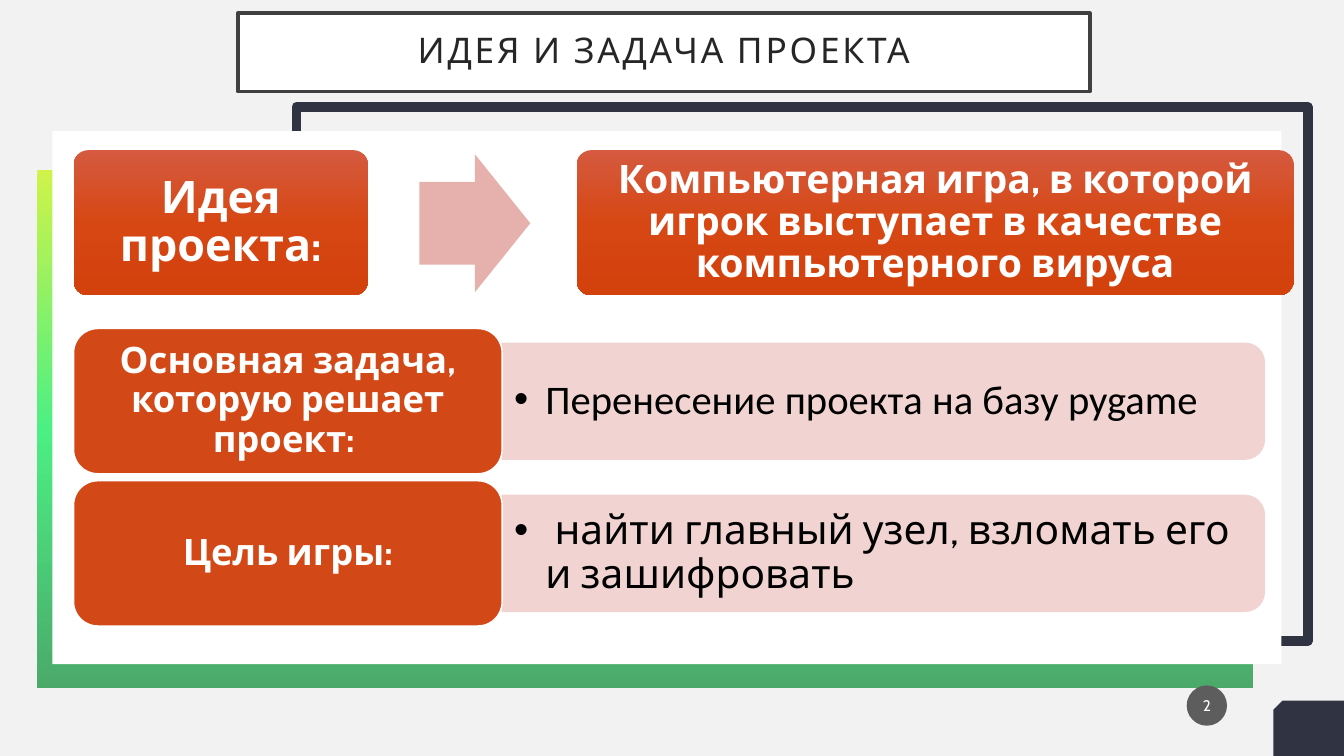
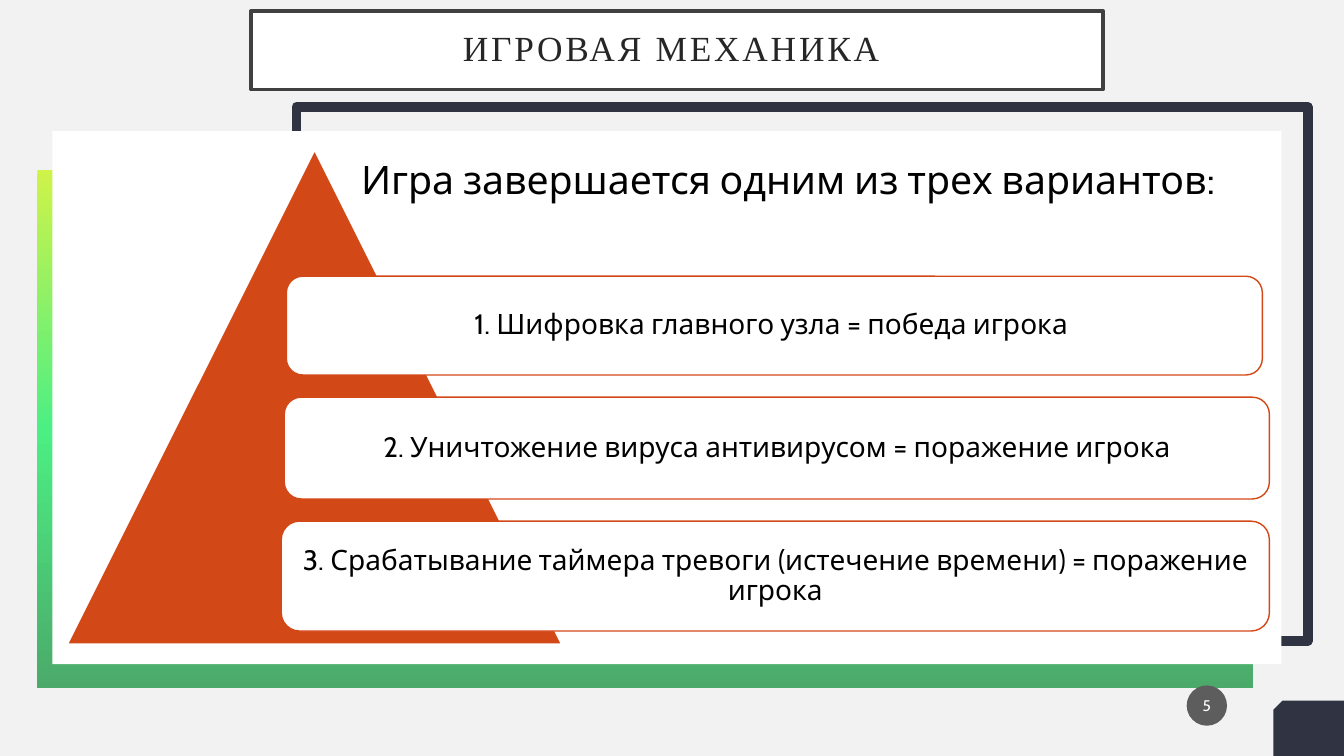
from lxml import etree
from pptx import Presentation
from pptx import util as u
from pptx.dml.color import RGBColor
from pptx.enum import shapes, text
from pptx.oxml.ns import qn

WIDTH, HEIGHT = 13.33, 7.5
FONT = "Cabin"
KIND = shapes.MSO_SHAPE
COLORS = {
    "back": "F2F2F2", "navy": "2F3342", "white": "FFFFFF", "black": "000000",
    "border": "404040", "title": "262626", "badge": "5D5D5D",
    "accent": "D34817", "arrow": "E6B1AC", "pale": "F1D4D1",
}
BAND = ["CFF349", "4CEF84", "4BAA6A"]
GLOSS = ["D55A3F", "D64714", "D3410D"]

IDEA = {
    "title": "ИДЕЯ И ЗАДАЧА ПРОЕКТА", "font": FONT, "corner": (2.36, 0.13), "number": "2",
    "cards": [("Идея проекта:", 0.73, 2.92, 32, 0.13),
              ("Компьютерная игра, в которой игрок выступает в качестве компьютерного вируса",
               5.72, 7.11, 28, 0.12)],
    "rows": [("Основная задача, которую решает проект: ",
              "Перенесение проекта на базу pygame", "Calibri"),
             ("Цель игры:", " найти главный узел, взломать его и зашифровать", FONT)],
}
MECHANICS = {
    "title": "ИГРОВАЯ МЕХАНИКА ", "font": "Times New Roman", "corner": (2.49, 0.11), "number": "5",
    "lead": "Игра завершается одним из трех вариантов:",
    "endings": [("1. Шифровка главного узла = победа игрока ", (2.84, 2.74, 9.68, 0.98)),
                ("2. Уничтожение вируса антивирусом = поражение игрока", (2.82, 3.94, 9.77, 1.01)),
                ("3. Срабатывание таймера тревоги (истечение времени) = поражение игрока",
                 (2.79, 5.17, 9.8, 1.09))],
}


def rgb(name):
    return RGBColor.from_string(COLORS[name])


def place(shape, area):
    shape.left, shape.top, shape.width, shape.height = (u.Inches(v) for v in area)


def paint(shape, fill=None, line=None, weight=1):
    if fill:
        shape.fill.solid()
        shape.fill.fore_color.rgb = rgb(fill)
    else:
        shape.fill.background()
    if line:
        shape.line.color.rgb = rgb(line)
        shape.line.width = u.Pt(weight)
    else:
        shape.line.fill.background()


def draw(page, kind, area, fill=None, line=None, weight=1):
    shape = page.shapes.add_shape(kind, *(u.Inches(v) for v in area))
    shape.shadow.inherit = False
    paint(shape, fill, line, weight)
    return shape


def shade(shape, stops):
    shape.fill.gradient()
    shape.fill.gradient_angle = 270
    stop_list = shape.fill._fill._gradFill.find(qn("a:gsLst"))
    for old in list(stop_list):
        stop_list.remove(old)
    for index, color in enumerate(stops):
        stop = etree.SubElement(stop_list, qn("a:gs"), pos=str(index * 50000))
        etree.SubElement(stop, qn("a:srgbClr"), val=color)


def write(shape, words, size, color="black", font=FONT, bold=False, insets=(0.1, 0.05),
          align=text.PP_ALIGN.CENTER, anchor=text.MSO_ANCHOR.MIDDLE, spacing=0.9):
    frame = shape.text_frame
    frame.text = words
    frame.word_wrap = True
    frame.auto_size = text.MSO_AUTO_SIZE.NONE
    frame.vertical_anchor = anchor
    frame.margin_left = frame.margin_right = u.Inches(insets[0])
    frame.margin_top = frame.margin_bottom = u.Inches(insets[1])
    para = frame.paragraphs[0]
    para.alignment = align
    para.line_spacing = spacing
    span = para.runs[0]
    span.font.size, span.font.name, span.font.bold = u.Pt(size), font, bold
    span.font.color.rgb = rgb(color)
    return para


def text_box(page, area):
    return page.shapes.add_textbox(*(u.Inches(v) for v in area))


def add_bullet(para, indent=0.31):
    props = para._p.get_or_add_pPr()
    props.set("marL", str(u.Inches(indent)))
    props.set("indent", str(-u.Inches(indent)))
    etree.SubElement(props, qn("a:buFont"), typeface="Arial")
    etree.SubElement(props, qn("a:buChar"), char="•")


def start_page(deck, content):
    page = deck.slides.add_slide(deck.slide_layouts[5])
    corner = draw(page, KIND.SNIP_1_RECTANGLE, (WIDTH - 0.7, HEIGHT - 0.55, 0.7, 0.55), "navy")
    corner._element.spPr.find(qn("a:xfrm")).set("flipH", "1")
    draw(page, KIND.RECTANGLE, (2.94, 1.06, 10.03, 5.3), line="navy", weight=7)
    shade(draw(page, KIND.RECTANGLE, (0.37, 1.69, 12.06, 5.14)), BAND)
    draw(page, KIND.RECTANGLE, (0.52, 1.3, 12.19, 5.29), "white")

    title = page.shapes.title
    place(title, (*content["corner"], 8.45, 0.78))
    paint(title, "white", "border", 2.5)
    para = write(title, content["title"], 25.2, "title", content["font"], insets=(0.2, 0.2))
    para.runs[0]._r.get_or_add_rPr().set("spc", "200")

    badge = draw(page, KIND.OVAL, (11.77, 6.8, 0.4, 0.4), "badge")
    write(badge, content["number"], 11, "white", insets=(0.02, 0.05), spacing=1.0)
    return page


def build_idea(deck):
    page = start_page(deck, IDEA)
    label_left, label_width, label_height, bar_width, bar_height = 0.73, 4.25, 1.44, 7.56, 1.15
    bar_left = label_left + label_width
    for index, (label, detail, font) in enumerate(IDEA["rows"]):
        top = 3.26 + 1.51 * index
        middle = top + label_height / 2
        bar = draw(page, KIND.ROUND_2_SAME_RECTANGLE,
                   (bar_left + (bar_width - bar_height) / 2, middle - bar_width / 2,
                    bar_height, bar_width), "pale", "pale")
        bar.rotation = 90
        box = text_box(page, (bar_left, middle - 0.52, 7.51, 1.04))
        add_bullet(write(box, detail, 29, font=font, insets=(0.12, 0.06),
                         align=text.PP_ALIGN.LEFT))
        tag = draw(page, KIND.ROUNDED_RECTANGLE, (label_left, top, label_width, label_height),
                   "accent", "white")
        write(tag, label, 26, "white", bold=True, insets=(0.11, 0.05))

    for words, left, width, size, inset in IDEA["cards"]:
        card = draw(page, KIND.ROUNDED_RECTANGLE, (left, 1.49, width, 1.44))
        card.adjustments[0] = 0.1
        shade(card, GLOSS)
        write(card, words, size, "white", bold=True, insets=(inset, inset))
    arrow = draw(page, KIND.RIGHT_ARROW, (4.16, 1.53, 1.1, 1.37), "arrow")
    arrow.adjustments[0] = 0.6


def build_mechanics(deck):
    page = start_page(deck, MECHANICS)
    draw(page, KIND.ISOSCELES_TRIANGLE, (0.67, 1.49, 4.9, 4.9), "accent", "white")
    for words, area in MECHANICS["endings"]:
        ending = draw(page, KIND.ROUNDED_RECTANGLE, area, "white", "accent")
        write(ending, words, 20, insets=(0.08, 0.08))
    write(text_box(page, (3.44, 1.49, 8.75, 0.88)), MECHANICS["lead"], 28,
          anchor=text.MSO_ANCHOR.TOP, spacing=1.0)


def main():
    deck = Presentation()
    deck.slide_width, deck.slide_height = u.Inches(WIDTH), u.Inches(HEIGHT)
    backdrop = deck.slide_master.background.fill
    backdrop.solid()
    backdrop.fore_color.rgb = rgb("back")
    build_idea(deck)
    build_mechanics(deck)
    deck.save("out.pptx")


if __name__ == "__main__":
    main()
